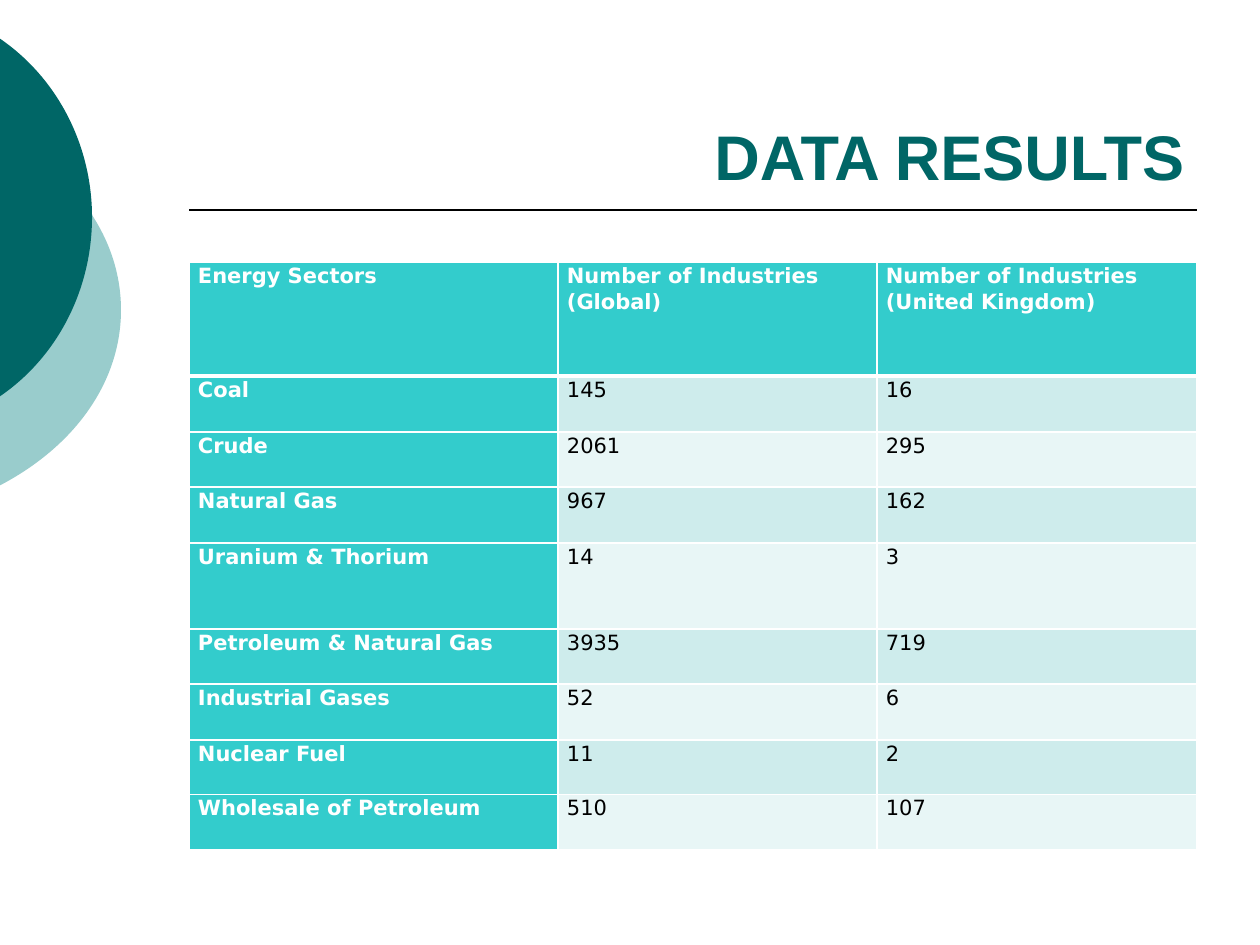
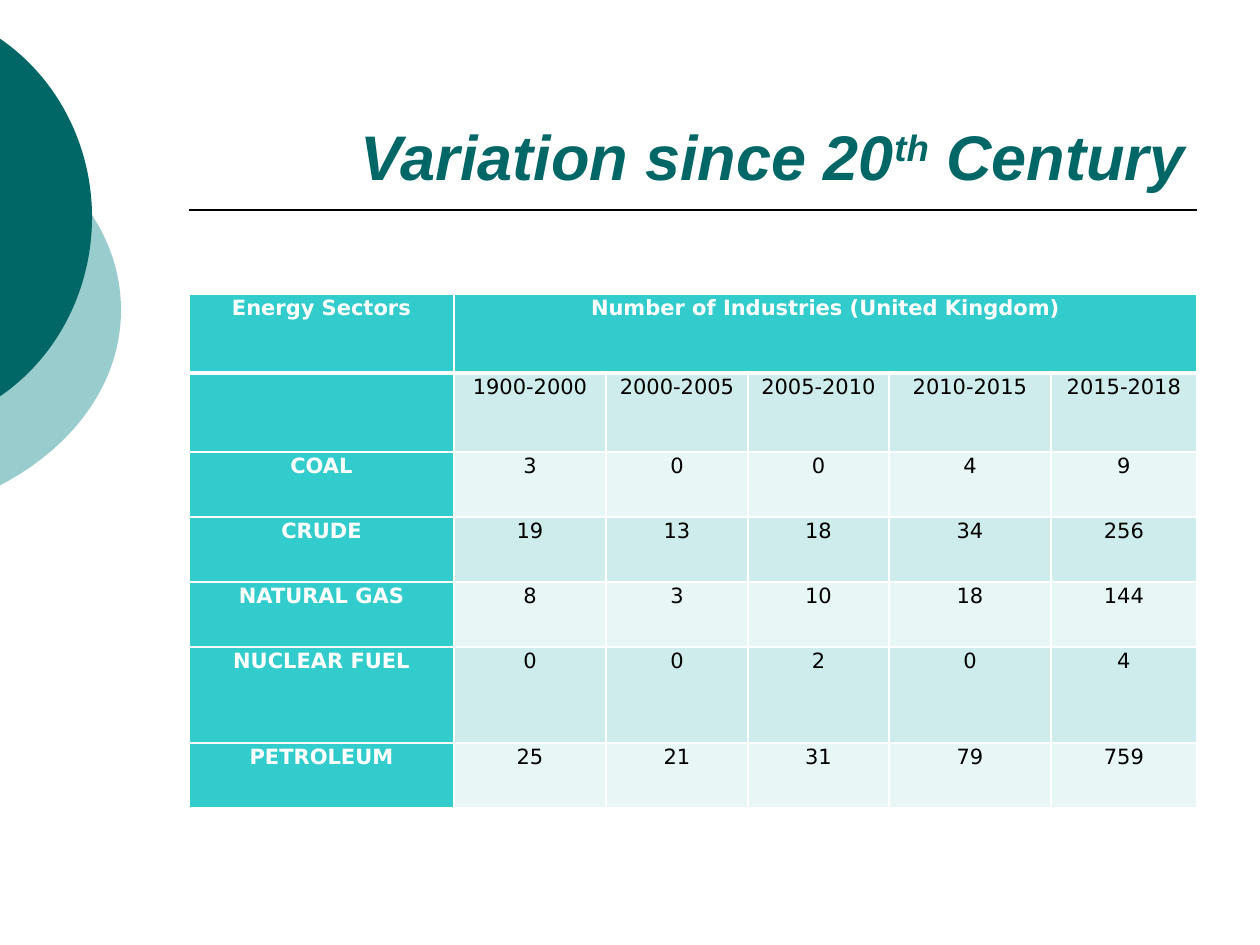
"""Build two slides of energy industry tables on a shared teal master."""
from lxml import etree
from pptx import Presentation, util as u
from pptx.dml.color import RGBColor
from pptx.enum import shapes, text
from pptx.oxml import ns

SCALE = 914400 / 126
DARK, LIGHT, TEAL = "006666", "99CCCC", "33CCCC"
BANDS = ["E8F6F6", "CEECEC"]
WHITE, BLACK = "FFFFFF", "000000"
LEFT, WIDTH = 189, 1008


def px(n):
    return u.Emu(round(n * SCALE))


def rgb(value):
    return RGBColor.from_string(value)


prs = Presentation()
prs.slide_width, prs.slide_height = px(1260), px(945)
master, layout = prs.slide_master, prs.slide_layouts[5]
master.background.fill.solid()
master.background.fill.fore_color.rgb = rgb(WHITE)
title = layout.placeholders[0]
title.left, title.top, title.width, title.height = px(LEFT), px(42), px(WIDTH), px(157)
title.text_frame.vertical_anchor = text.MSO_ANCHOR.BOTTOM
title.text_frame.auto_size = text.MSO_AUTO_SIZE.NONE

slides = [
    dict(
        title=[("DATA RESULTS", 0)], italic=None, top=262,
        align=text.PP_ALIGN.JUSTIFY,
        widths=[369, 319, 320],
        heights=[114, 56, 55, 56, 86, 55, 56, 55, 55],
        rows=[
            ["Energy Sectors", "Number of Industries \n(Global)",
             "Number of Industries\n(United Kingdom)"],
            ["Coal", "145", "16"],
            ["Crude", "2061", "295"],
            ["Natural Gas", "967", "162"],
            ["Uranium & Thorium", "14", "3"],
            ["Petroleum & Natural Gas", "3935", "719"],
            ["Industrial Gases", "52", "6"],
            ["Nuclear Fuel", "11", "2"],
            ["Wholesale of Petroleum", "510", "107"],
        ],
    ),
    dict(
        title=[("Variation since 20", 0), ("th", 30000), (" Century", 0)],
        italic=True, top=294,
        align=text.PP_ALIGN.CENTER,
        widths=[265, 152, 142, 141, 162, 146],
        heights=[79, 79, 65, 65, 65, 96, 65],
        rows=[
            ["Energy Sectors", "Number of Industries (United Kingdom)"],
            ["", "1900-2000", "2000-2005", "2005-2010", "2010-2015", "2015-2018"],
            ["COAL", "3", "0", "0", "4", "9"],
            ["CRUDE", "19", "13", "18", "34", "256"],
            ["NATURAL GAS", "8", "3", "10", "18", "144"],
            ["NUCLEAR FUEL", "0", "0", "2", "0", "4"],
            ["PETROLEUM", "25", "21", "31", "79", "759"],
        ],
    ),
]

for data in slides:
    s = prs.slides.add_slide(layout)
    p = s.shapes.title.text_frame.paragraphs[0]
    p.alignment = text.PP_ALIGN.RIGHT
    for words, baseline in data["title"]:
        r = p.add_run()
        r.text = words
        r.font.name, r.font.size = "Arial", u.Pt(36)
        r.font.bold, r.font.italic = True, data["italic"]
        r.font.color.rgb = rgb(DARK)
        if baseline:
            r.font._element.set("baseline", str(baseline))

    rows, widths = data["rows"], data["widths"]
    table = s.shapes.add_table(len(rows), len(widths), px(LEFT), px(data["top"]),
                               px(WIDTH), px(sum(data["heights"]))).table
    table.first_row = table.horz_banding = False
    for column, width in zip(table.columns, widths):
        column.width = px(width)
    for row, height in zip(table.rows, data["heights"]):
        row.height = px(height)
    if len(rows[0]) < len(widths):
        table.cell(0, 1).merge(table.cell(0, len(widths) - 1))

    for i, row in enumerate(rows):
        for j in range(len(widths)):
            cell = table.cell(i, j)
            head = i == 0 or j == 0
            cell.margin_left = cell.margin_right = px(9)
            cell.margin_top = cell.margin_bottom = 0
            tcPr = cell._tc.get_or_add_tcPr()
            for side in "LRTB":
                thick = (i, side) in [(0, "B"), (1, "T")]
                ln = etree.SubElement(tcPr, ns.qn("a:ln" + side), w=str(u.Pt(3 if thick else 1)))
                fill = etree.SubElement(ln, ns.qn("a:solidFill"))
                etree.SubElement(fill, ns.qn("a:srgbClr"), val=WHITE)
            cell.fill.solid()
            cell.fill.fore_color.rgb = rgb(TEAL if head else BANDS[i % 2])
            if j >= len(row) or not row[j]:
                continue
            tf = cell.text_frame
            for k, words in enumerate(row[j].split("\n")):
                p = tf.add_paragraph() if k else tf.paragraphs[0]
                p.alignment, p.line_spacing = data["align"], 1.07
                p.space_before = u.Pt(0 if k else 8)
                r = p.add_run()
                r.text = words
                r.font.name, r.font.size, r.font.bold = "DejaVu Sans", u.Pt(12), head
                r.font.color.rgb = rgb(WHITE if head else BLACK)

s = prs.slides[0]
discs = [
    (LIGHT, (-446, 94, 567, 431),
     [(-1, 134), (76, 174), (121, 239), (121, 310), (121, 381), (76, 446), (-1, 486)]),
    (DARK, (-334, 0, 426, 435),
     [(-1, 38), (58, 78), (92, 146), (92, 217), (92, 289), (58, 357), (-1, 397)]),
]
decor = []
for color, (left, top, width, height), points in discs:
    builder = s.shapes.build_freeform(*points[0], scale=SCALE)
    builder.add_line_segments([points[3], points[6]], close=True)
    sp = builder.convert_to_shape()
    sp.left, sp.top, sp.width, sp.height = px(left), px(top), px(width), px(height)
    outline = next(sp.element.iter(ns.qn("a:path")))
    outline.clear()
    outline.set("w", str(px(width)))
    outline.set("h", str(px(height)))
    for tag, part in [("moveTo", points[:1]), ("cubicBezTo", points[1:4]),
                      ("cubicBezTo", points[4:]), ("close", [])]:
        step = etree.SubElement(outline, ns.qn("a:" + tag))
        for x, y in part:
            etree.SubElement(step, ns.qn("a:pt"), x=str(px(x - left)), y=str(px(y - top)))
    sp.shadow.inherit = False
    sp.fill.solid()
    sp.fill.fore_color.rgb = rgb(color)
    sp.line.fill.background()
    decor.append(sp)

rule = s.shapes.add_connector(shapes.MSO_CONNECTOR.STRAIGHT, px(LEFT), px(210),
                              px(LEFT + WIDTH), px(210))
rule.line.color.rgb, rule.line.width = rgb(BLACK), u.Pt(1)
etree.SubElement(rule._element.spPr, ns.qn("a:effectLst"))
decor.append(rule)
for n, sp in enumerate(decor):
    master.shapes.element.insert(2 + n, sp.element)

prs.save("out.pptx")
